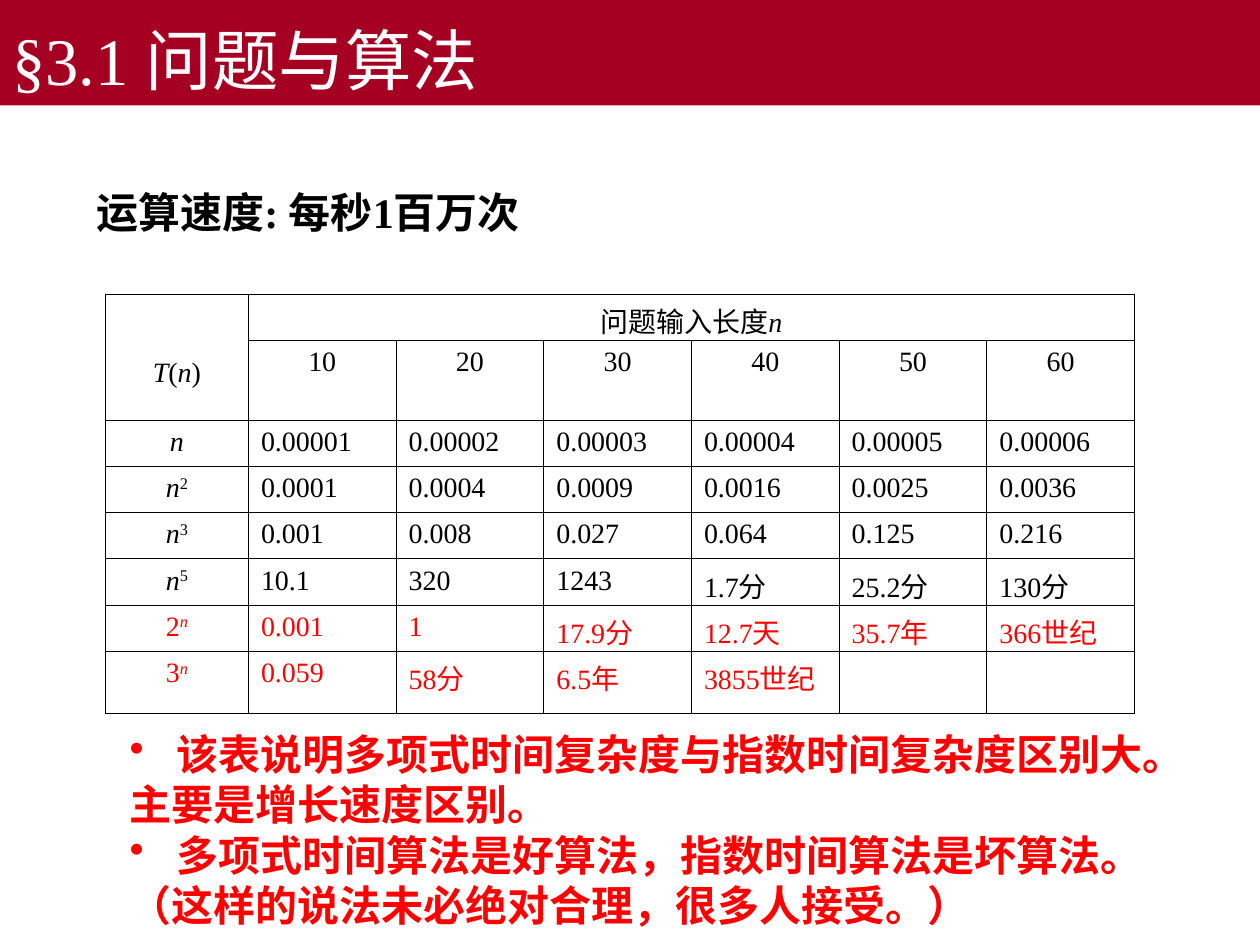
from lxml import etree
from pptx import Presentation
from pptx.dml.color import RGBColor
from pptx.enum.shapes import MSO_SHAPE
from pptx.enum.text import MSO_ANCHOR, PP_ALIGN
from pptx.oxml.ns import qn
from pptx.util import Pt

RECTANGLE = MSO_SHAPE.RECTANGLE
MIDDLE, BOTTOM, TOP = MSO_ANCHOR.MIDDLE, MSO_ANCHOR.BOTTOM, MSO_ANCHOR.TOP
LEFT, CENTER = PP_ALIGN.LEFT, PP_ALIGN.CENTER

THEME = {
    "font": "Times New Roman",
    "banner": "A50021", "white": "FFFFFF", "black": "000000", "red": "FF0000",
    "title": 38, "body": 24, "cell": 16,
}


def write(para, pieces, size, color, bold=False):
    """Add (text, style) pieces; style may hold i for italic and ^ for superscript."""
    for text, style in pieces:
        span = para.add_run()
        span.text = text
        formats = {"name": THEME["font"], "size": Pt(THEME[size]),
                   "bold": bold, "italic": "i" in style}
        for name, value in formats.items():
            setattr(span.font, name, value)
        span.font.color.rgb = RGBColor.from_string(THEME[color])
        if "^" in style:
            span._r.get_or_add_rPr().set("baseline", "30000")


def add_xml(parent, tag, **attributes):
    element = etree.SubElement(parent, qn(tag))
    for name, value in attributes.items():
        element.set(name, value)
    return element


deck = Presentation()
deck.slide_width, deck.slide_height = Pt(720), Pt(540)
page = deck.slides.add_slide(deck.slide_layouts[6])

# Title banner
banner = page.shapes.add_shape(RECTANGLE, 0, 0, Pt(720), Pt(60.25))
banner.shadow.inherit = False
banner.fill.solid()
banner.fill.fore_color.rgb = RGBColor.from_string(THEME["banner"])
banner.line.fill.background()
banner.text_frame.vertical_anchor = BOTTOM
banner.text_frame.word_wrap = True
para = banner.text_frame.paragraphs[0]
para.alignment = LEFT
write(para, [("§3.1 问题与算法", "")], "title", "white")

# Speed assumption
speed = page.shapes.add_textbox(Pt(48), Pt(103), Pt(323), Pt(36))
speed.text_frame.vertical_anchor = MIDDLE
speed.text_frame.word_wrap = True
write(speed.text_frame.paragraphs[0], [("运算速度: 每秒1百万次", "")],
      "body", "black", bold=True)

# Running times: row label, colour, values for each input length
lengths = ["10", "20", "30", "40", "50", "60"]
growth = [
    ([("n", "i")], "black",
     ["0.00001", "0.00002", "0.00003", "0.00004", "0.00005", "0.00006"]),
    ([("n", "i"), ("2", "^")], "black",
     ["0.0001", "0.0004", "0.0009", "0.0016", "0.0025", "0.0036"]),
    ([("n", "i"), ("3", "^")], "black",
     ["0.001", "0.008", "0.027", "0.064", "0.125", "0.216"]),
    ([("n", "i"), ("5", "^")], "black",
     ["10.1", "320", "1243", "1.7分", "25.2分", "130分"]),
    ([("2", ""), ("n", "i^")], "red",
     ["0.001", "1", "17.9分", "12.7天", "35.7年", "366世纪"]),
    ([("3", ""), ("n", "i^")], "red",
     ["0.059", "58分", "6.5年", "3855世纪", "", ""]),
]
column_widths = [81.75] + [84.4] * 6
row_heights = [26.4, 45.6] + [26.4] * 5 + [35.6]
frame = page.shapes.add_table(len(row_heights), len(column_widths), Pt(60.25), Pt(168),
                              Pt(sum(column_widths)), Pt(sum(row_heights)))
table = frame.table
for column, width in zip(table.columns, column_widths):
    column.width = Pt(width)
for row, height in zip(table.rows, row_heights):
    row.height = Pt(height)

# Plain cells with thin black borders
for cell in table.iter_cells():
    cell.vertical_anchor = TOP
    cell.text_frame.paragraphs[0].font.size = Pt(THEME["cell"])
    properties = cell._tc.get_or_add_tcPr()
    for side in ("a:lnL", "a:lnR", "a:lnT", "a:lnB"):
        border = add_xml(properties, side, w=str(Pt(0.45)))
        add_xml(add_xml(border, "a:solidFill"), "a:srgbClr", val=THEME["black"])
    cell.fill.background()

# Header cells
table.cell(0, 0).merge(table.cell(1, 0))
table.cell(0, 1).merge(table.cell(0, 6))
corner = table.cell(0, 0)
corner.vertical_anchor = MIDDLE
corner.margin_top = Pt(22)
entries = [
    (0, 0, [("T", "i"), ("(", ""), ("n", "i"), (")", "")], "black", CENTER),
    (0, 1, [("问题输入长度", ""), ("n", "i")], "black", CENTER),
]
entries += [(1, j, [(text, "")], "black", CENTER) for j, text in enumerate(lengths, 1)]

# Body cells
for i, (label, color, values) in enumerate(growth, 2):
    entries.append((i, 0, label, color, CENTER))
    entries += [(i, j, [(text, "")], color, LEFT)
                for j, text in enumerate(values, 1) if text]
for i, j, pieces, color, alignment in entries:
    para = table.cell(i, j).text_frame.paragraphs[0]
    para.alignment = alignment
    write(para, pieces, "cell", color)

# Conclusions: text and whether it carries a bullet
conclusions = [
    ("该表说明多项式时间复杂度与指数时间复杂度区别大。", True),
    ("主要是增长速度区别。", False),
    ("多项式时间算法是好算法，指数时间算法是坏算法。", True),
    ("（这样的说法未必绝对合理，很多人接受。）", False),
]
box = page.shapes.add_textbox(Pt(67), Pt(412.5), Pt(617), Pt(122.5))
box.text_frame.vertical_anchor = MIDDLE
box.text_frame.word_wrap = False
for i, (text, bulleted) in enumerate(conclusions):
    para = box.text_frame.add_paragraph() if i else box.text_frame.paragraphs[0]
    properties = para._p.get_or_add_pPr()
    properties.set("marL", str(Pt(27)))
    properties.set("indent", str(Pt(-27)))
    if bulleted:
        add_xml(add_xml(properties, "a:buClr"), "a:srgbClr", val=THEME["red"])
        add_xml(properties, "a:buChar", char="•")
    else:
        add_xml(properties, "a:buNone")
    write(para, [(text, "")], "body", "red", bold=True)

deck.save("out.pptx")
